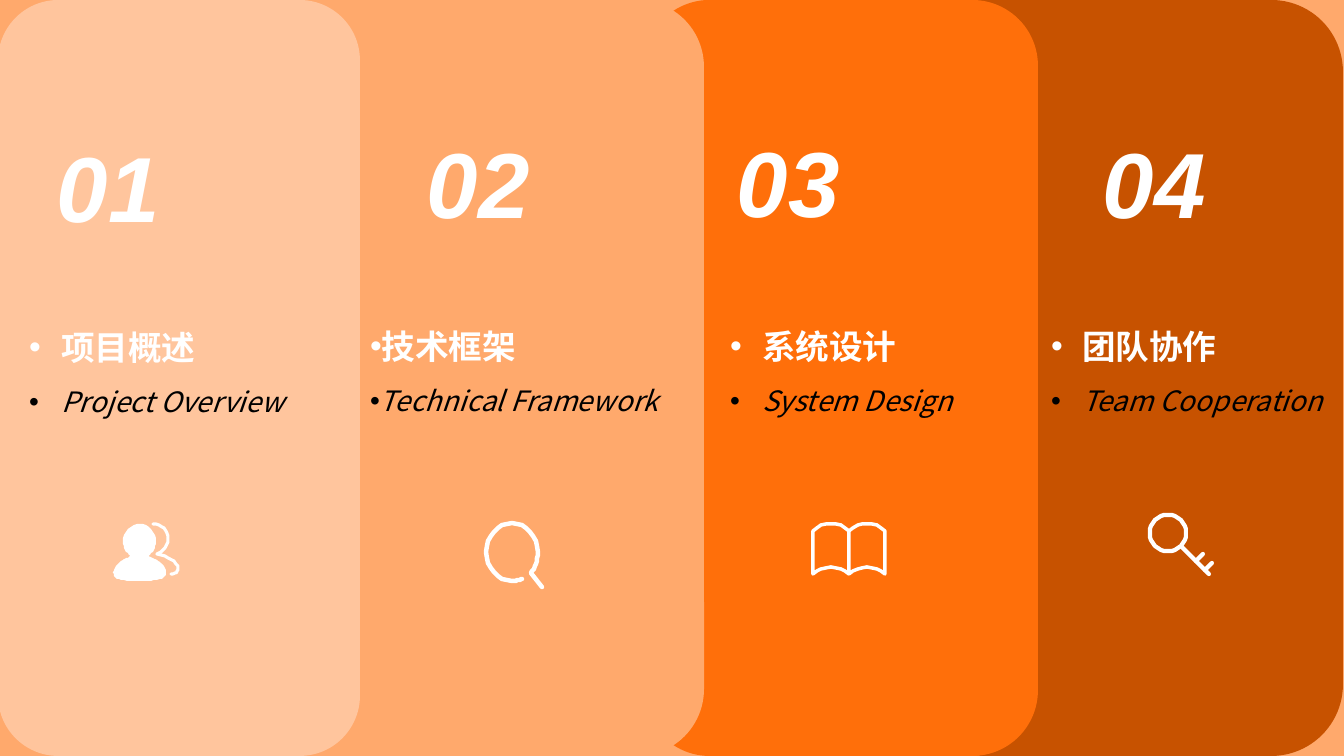
from pptx import Presentation
from pptx.dml.color import RGBColor
from pptx.enum.shapes import MSO_SHAPE as SHAPE
from pptx.enum.text import MSO_ANCHOR as ANCHOR, MSO_AUTO_SIZE as AUTO_SIZE, PP_ALIGN as ALIGN
from pptx.oxml.ns import qn
from pptx.util import Pt
from lxml.etree import SubElement

PX = 12192000 / 1344
WHITE = RGBColor(0xFF, 0xFF, 0xFF)
BLACK = RGBColor(0x00, 0x00, 0x00)
PEACH = RGBColor(0xFF, 0xC5, 0x9D)
APRICOT = RGBColor(0xFF, 0xA9, 0x6C)
ORANGE = RGBColor(0xFF, 0x6F, 0x0A)
RUST = RGBColor(0xC7, 0x52, 0x00)
CJK = "Noto Sans CJK SC"


def px(*lengths):
    return [round(length * PX) for length in lengths]


def write(text, paragraph, size, color=WHITE, font=CJK, bold=False, italic=False, indent=None):
    paragraph.alignment = ALIGN.LEFT
    paragraph.space_before = Pt(0)
    if indent is not None:
        paragraph.line_spacing = Pt(37)
        properties = paragraph._p.get_or_add_pPr()
        margin, hanging = px(indent, -32)
        properties.set("marL", str(margin))
        properties.set("indent", str(hanging))
        SubElement(properties, qn("a:buFont")).set("typeface", "Arial")
        SubElement(properties, qn("a:buChar")).set("char", "•")
    run = paragraph.add_run()
    run.text = text
    run.font.size = Pt(size)
    run.font.bold = bold
    run.font.italic = italic
    run.font.color.rgb = color
    run.font.name = font
    SubElement(run._r.get_or_add_rPr(), qn("a:ea")).set("typeface", font)


people_front = [[(140, 524), (149, 524, 156, 532, 156, 541), (156, 548, 153, 553, 148, 556),
                 (150, 557, 153, 558, 155, 559), (159, 561, 164, 565, 166, 570),
                 (167, 573, 166, 576, 163, 578), (160, 580, 150, 581, 139, 581),
                 (128, 581, 118, 580, 116, 578), (113, 576, 113, 573, 114, 570),
                 (116, 565, 121, 561, 124, 559), (127, 558, 129, 557, 131, 556),
                 (126, 553, 123, 548, 123, 541), (123, 532, 131, 524, 140, 524)]]
people_back = [[(153, 524), (162, 524, 168, 531, 168, 539), (168, 546, 163, 552, 157, 554),
                (168, 556, 178, 562, 178, 568), (178, 571, 177, 574, 171, 574)]]
magnifier = [[(522, 579), (519, 580, 515, 581, 512, 581), (498, 581, 486, 568, 486, 552),
              (486, 536, 498, 523, 512, 523), (526, 523, 538, 536, 538, 552),
              (538, 560, 535, 568, 531, 573), (542, 587)]]
book = [[(849, 574), (839, 565, 823, 565, 813, 574), (813, 531), (823, 521, 839, 521, 849, 531),
         (859, 521, 876, 521, 885, 531), (885, 574), (876, 565, 859, 565, 849, 574), (849, 531)]]
key = [[(1168, 515), (1178, 515, 1186, 523, 1186, 533), (1186, 543, 1178, 551, 1168, 551),
        (1158, 551, 1150, 543, 1150, 533), (1150, 523, 1158, 515, 1168, 515)],
       [(1182, 547), (1209, 574)], [(1196, 561), (1203, 554)], [(1205, 570), (1212, 563)]]

sections = [
    ("04", "团队协作", "Team Cooperation", RUST, (913, 430), (1093, 112), (1041, 298, 304), 31, [(key, 3)]),
    ("03", "系统设计", "System Design", ORANGE, (644, 394), (727, 111), (702, 298, 325), 50, [(book, 2.5)]),
    ("02", "技术框架", "Technical Framework", APRICOT, (303, 401), (417, 112), (360, 298, 355), 0,
     [(magnifier, 3.2)]),
    ("01", "项目概述", "Project Overview", PEACH, (-2, 362), (47, 116), (13, 299, 355), 38,
     [(people_front, 0), (people_back, 2.2)]),
]

presentation = Presentation()
presentation.slide_width, presentation.slide_height = px(1344, 756)
slide = presentation.slides.add_slide(presentation.slide_layouts[4])
slide.background.fill.solid()
slide.background.fill.fore_color.rgb = APRICOT
shapes = slide.shapes
heading = shapes.title._element
heading.getparent().remove(heading)
agenda_lists = list(slide.placeholders)

for section, agenda in zip(sections, agenda_lists):
    number, topic, translation, color, (left, width), number_at, list_at, indent, icon = section
    panel = shapes.add_shape(SHAPE.ROUNDED_RECTANGLE, *px(left, 0, width, 756))
    panel.shadow.inherit = False
    panel.fill.solid()
    panel.fill.fore_color.rgb = color
    panel.line.fill.background()

    numeral = shapes.add_textbox(*px(*number_at, 244, 183)).text_frame
    numeral.word_wrap = True
    numeral.margin_top = px(14)[0]
    write(number, numeral.paragraphs[0], size=66, font="Arial", bold=True, italic=True)

    shapes._spTree.append(agenda._element)
    agenda.left, agenda.top, agenda.width, agenda.height = px(*list_at, 116)
    entry = agenda.text_frame
    entry.word_wrap = True
    entry.auto_size = AUTO_SIZE.NONE
    entry.vertical_anchor = ANCHOR.TOP
    entry.margin_top = px(16)[0]
    write(topic, entry.paragraphs[0], size=24, bold=True, indent=indent)
    write(translation, entry.add_paragraph(), size=20, color=BLACK, italic=True, indent=indent)

    for strokes, weight in icon:
        pen = shapes.build_freeform(*strokes[0][0], scale=PX)
        for stroke in strokes:
            x, y = stroke[0]
            points = []
            for step in stroke[1:]:
                if len(step) == 2:
                    points.append(step)
                else:
                    x1, y1, x2, y2, x3, y3 = step
                    for t in [i / 8 for i in range(1, 9)]:
                        a, b, c, d = (1 - t) ** 3, 3 * t * (1 - t) ** 2, 3 * t * t * (1 - t), t ** 3
                        points.append((a * x + b * x1 + c * x2 + d * x3, a * y + b * y1 + c * y2 + d * y3))
                x, y = step[-2:]
            if stroke is not strokes[0]:
                pen.move_to(*stroke[0])
            pen.add_line_segments(points, close=not weight)
        drawing = pen.convert_to_shape()
        drawing.shadow.inherit = False
        if weight:
            drawing.fill.background()
            drawing.line.color.rgb = WHITE
            drawing.line.width = Pt(weight)
            outline = drawing._element.spPr.find(qn("a:ln"))
            outline.set("cap", "rnd")
            SubElement(outline, qn("a:round"))
        else:
            drawing.fill.solid()
            drawing.fill.fore_color.rgb = WHITE
            drawing.line.fill.background()

presentation.save("out.pptx")
